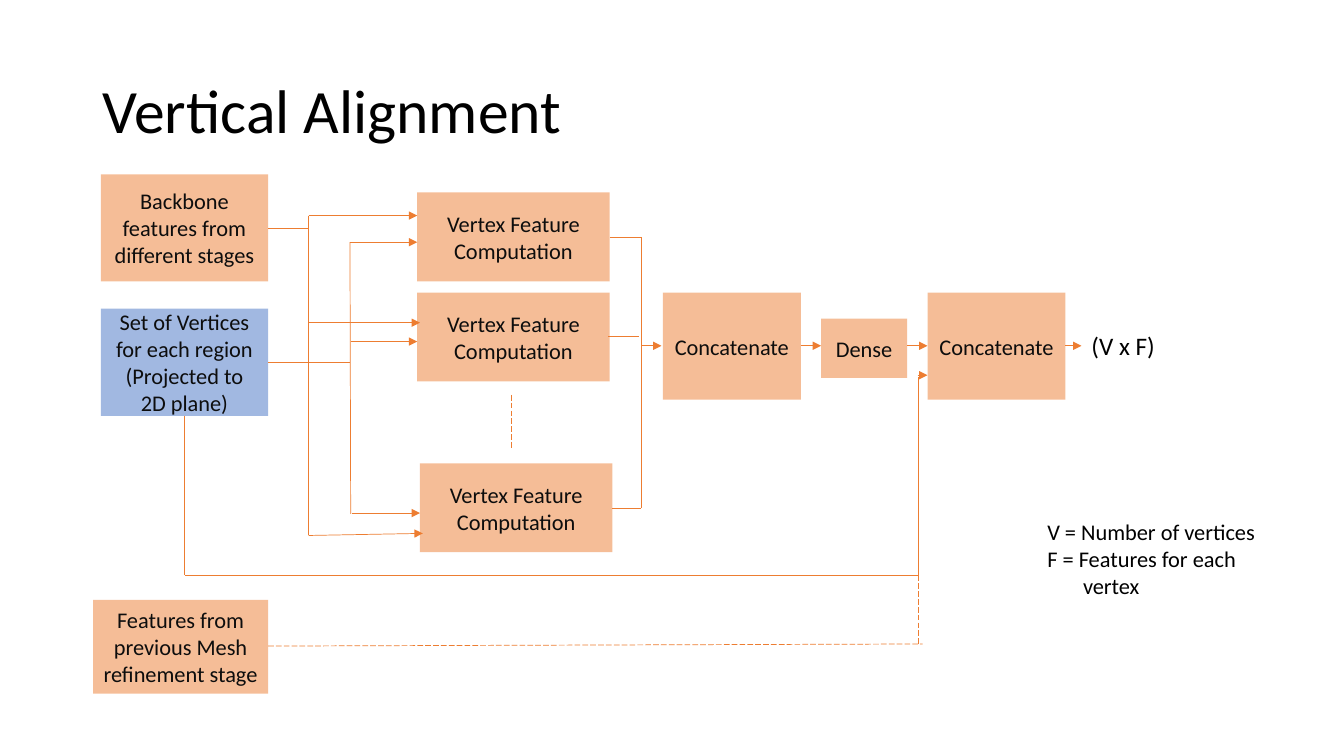
from pptx import Presentation
from pptx.dml.color import RGBColor
from pptx.enum.dml import MSO_LINE_DASH_STYLE as DASH
from pptx.enum.shapes import MSO_CONNECTOR, MSO_SHAPE
from pptx.enum.text import MSO_ANCHOR as ANCHOR, PP_ALIGN as ALIGN
from pptx.oxml.ns import qn
from pptx.util import Pt
from lxml.etree import SubElement

COLORS = {"orange": "ED7D31", "blue": "4472C4", "label": "0D0D0D", "black": "000000"}

# Content: text, left, top, width, height, fill
TITLE = "Vertical Alignment"
VERTEX = "Vertex Feature Computation"
INPUT_SIZE = (119.5, 76.5)
VERTEX_SIZE = (137.5, 63.5)
CONCAT_SIZE = (98.5, 76.5)
BOXES = [
    ("Set of Vertices for each region (Projected to 2D plane)", 72, 220.5, *INPUT_SIZE, "blue"),
    ("Backbone features from different stages", 72, 124.5, *INPUT_SIZE, "orange"),
    ("Features from previous Mesh refinement stage", 66.5, 428.5, 125, 67, "orange"),
    (VERTEX, 298, 137.5, *VERTEX_SIZE, "orange"),
    (VERTEX, 298, 209, *VERTEX_SIZE, "orange"),
    (VERTEX, 300, 331, *VERTEX_SIZE, "orange"),
    ("Concatenate", 473.5, 209, *CONCAT_SIZE, "orange"),
    ("Dense", 586.5, 227.5, 61.5, 42.5, "orange"),
    ("Concatenate", 662.5, 209, *CONCAT_SIZE, "orange"),
]
LEGEND = ["V = Number of vertices", "F = Features for each", "vertex"]
LEGEND_INDENT = 25.5

# Shared tracks of the wiring
BACKBONE_X, VERTICES_X, MERGE_X, SKIP_X = 220.5, 250, 458, 656
FLOW_Y, SKIP_Y, MESH_Y = 247, 411, 460
INPUT_RIGHT = 191.5

PLAIN = [
    (INPUT_RIGHT, 258.5, VERTICES_X, 258.5),
    (VERTICES_X, 173, 250.5, 367),
    (INPUT_RIGHT, 163, BACKBONE_X, 163),
    (BACKBONE_X, 154, BACKBONE_X, 382.5),
    (435.5, 169.5, MERGE_X, 169.5),
    (434.5, 240.5, 456.5, 240.5),
    (437, 363, MERGE_X, 363),
    (MERGE_X, 169.5, MERGE_X, 363),
    (132, 297, 132, SKIP_Y),
    (132, SKIP_Y, SKIP_X, SKIP_Y),
    (SKIP_X, 269, SKIP_X, SKIP_Y),
]
ARROWS = [
    (VERTICES_X, 173, 298, 173),
    (250.5, 244, 298, 244),
    (251.5, 366.5, 300, 366.5),
    (BACKBONE_X, 154, 298, 154),
    (BACKBONE_X, 230.5, 300, 230.5),
    (BACKBONE_X, 382.5, 302, 381),
    (MERGE_X, FLOW_Y, 472.5, FLOW_Y),
    (572, FLOW_Y, 586.5, FLOW_Y),
    (648, FLOW_Y, 662.5, FLOW_Y),
    (761, FLOW_Y, 772.5, FLOW_Y),
    (655.5, 268, 662.5, 268),
]
DASHED = [
    (365, 282, 365, 320),
    (INPUT_RIGHT, 461.5, 659, MESH_Y),
    (SKIP_X, SKIP_Y, SKIP_X, MESH_Y),
]


def write(shape, lines, size=16, color="black", align=ALIGN.LEFT,
          anchor=ANCHOR.TOP, spacing=None):
    frame = shape.text_frame
    frame.word_wrap = True
    frame.vertical_anchor = anchor
    frame.text = "\n".join(lines)
    for paragraph in frame.paragraphs:
        paragraph.alignment = align
        paragraph.line_spacing = spacing
        font = paragraph.runs[0].font
        font.name, font.size = "Calibri", Pt(size)
        font.color.rgb = RGBColor.from_string(COLORS[color])
    return frame


def add_box(text, left, top, width, height, fill):
    box = slide.shapes.add_shape(MSO_SHAPE.RECTANGLE, Pt(left), Pt(top), Pt(width), Pt(height))
    box.shadow.inherit = False
    box.line.fill.background()
    box.fill.solid()
    box.fill.fore_color.rgb = RGBColor.from_string(COLORS[fill])
    tint = box._element.spPr.find(qn("a:solidFill"))[0]
    SubElement(tint, qn("a:alpha"), val="50000")
    write(box, [text], color="label", align=ALIGN.CENTER, anchor=ANCHOR.MIDDLE)


def add_line(x1, y1, x2, y2, arrow=False, dashed=False):
    wire = slide.shapes.add_connector(MSO_CONNECTOR.STRAIGHT, Pt(x1), Pt(y1), Pt(x2), Pt(y2))
    wire.line.color.rgb = RGBColor.from_string(COLORS["orange"])
    wire.line.width = Pt(0.5)
    if dashed:
        wire.line.dash_style = DASH.LONG_DASH
    if arrow:
        SubElement(wire.line._get_or_add_ln(), qn("a:tailEnd"), type="triangle")
    SubElement(wire._element.spPr, qn("a:effectLst"))


def add_note(lines, left, top, width, height, **style):
    note = slide.shapes.add_textbox(Pt(left), Pt(top), Pt(width), Pt(height))
    return write(note, lines, **style)


deck = Presentation()
deck.slide_width, deck.slide_height = Pt(960), Pt(540)
slide = deck.slides.add_slide(deck.slide_layouts[5])

# Title
title = slide.shapes.title
title.left, title.top, title.width, title.height = Pt(66), Pt(28.75), Pt(828), Pt(104.5)
write(title, [TITLE], size=44, anchor=ANCHOR.MIDDLE, spacing=0.9)

# Blocks
for box in BOXES:
    add_box(*box)

# Wiring
for wire in PLAIN:
    add_line(*wire)
for wire in ARROWS:
    add_line(*wire, arrow=True)
for wire in DASHED:
    add_line(*wire, dashed=True)

# Output shape and its legend
add_note(["(V x F)"], 772.5, 232.5, 62, 29, size=18)
legend = add_note(LEGEND, 741, 366.5, 168, 67.5)
legend.paragraphs[-1]._p.get_or_add_pPr().set("marL", str(Pt(LEGEND_INDENT)))

deck.save("out.pptx")
